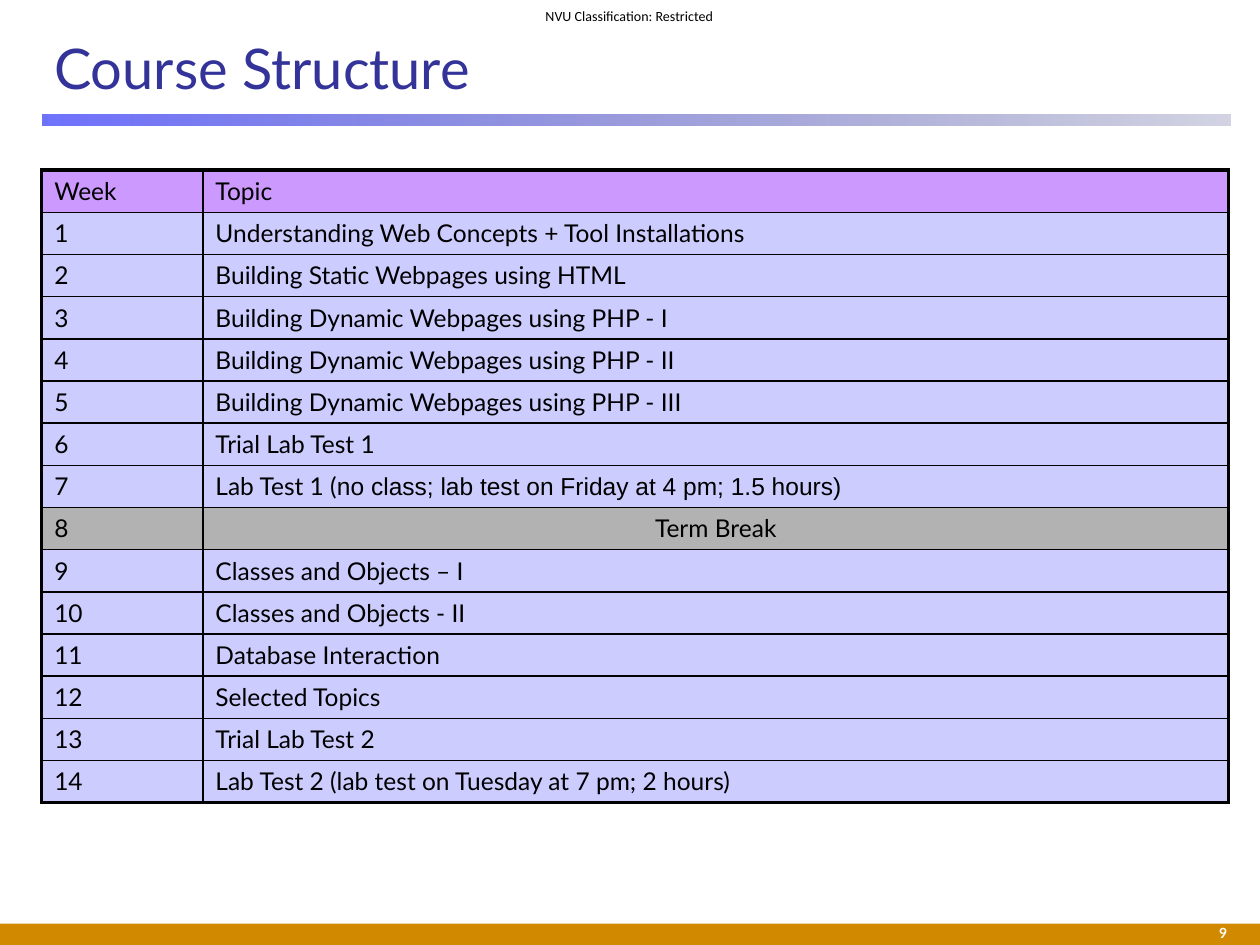
"""Build the course structure slide with its weekly topic table."""
from dataclasses import dataclass

from lxml.etree import SubElement as Sub
from pptx import Presentation as Deck
from pptx.dml.color import RGBColor as Rgb
from pptx.enum.shapes import MSO_SHAPE as Kind
from pptx.enum.text import MSO_ANCHOR as Anchor, PP_ALIGN as Align
from pptx.oxml.ns import qn
from pptx.util import Cm, Pt


@dataclass(frozen=True)
class Theme:
    title: str = "333399"
    ink: str = "000000"
    white: str = "FFFFFF"
    foot: str = "D18A00"
    head: str = "CC99FF"
    body: str = "CCCCFF"
    rest: str = "B2B2B2"
    fade: tuple = (("464AFC", 78), ("202275", 20))
    font: str = "Lato"
    alt: str = "Arial"
    mark: str = "Calibri"
    big: int = 32
    mid: int = 14
    small: int = 8
    thick: float = 2.25
    thin: float = 1


LOOK = Theme()
BREAK = "Term Break"
TOPICS = [
    "Understanding Web Concepts + Tool Installations",
    "Building Static Webpages using HTML",
    "Building Dynamic Webpages using PHP - I",
    "Building Dynamic Webpages using PHP - II",
    "Building Dynamic Webpages using PHP - III",
    "Trial Lab Test 1",
    ("Lab Test 1 (", "no class; lab test on Friday at 4 pm; 1.5 hours)"),
    BREAK,
    "Classes and Objects – I",
    "Classes and Objects - II",
    "Database Interaction",
    "Selected Topics",
    "Trial Lab Test 2",
    "Lab Test 2 (lab test on Tuesday at 7 pm; 2 hours)",
]


def add_run(para, text, size, color=LOOK.ink, font=LOOK.font, bold=False):
    run = para.add_run()
    run.text = text
    run.font.size = Pt(size)
    run.font.name = font
    run.font.bold = bold
    run.font.color.rgb = Rgb.from_string(color)


def add_text(slide, box, text, size, color, font=LOOK.font,
             align=Align.LEFT, bold=False, pad=None):
    frame = slide.shapes.add_textbox(*map(Cm, box)).text_frame
    frame.word_wrap = True
    frame.vertical_anchor = Anchor.MIDDLE
    if pad is not None:
        frame.margin_left = frame.margin_right = Cm(pad)
        frame.margin_top = frame.margin_bottom = Cm(pad)
    para = frame.paragraphs[0]
    para.alignment = align
    add_run(para, text, size, color, font, bold)


def add_bar(slide, box):
    bar = slide.shapes.add_shape(Kind.RECTANGLE, *map(Cm, box))
    bar.shadow.inherit = False
    bar.line.fill.background()
    return bar


def add_fade(slide, box):
    bar = add_bar(slide, box)
    bar.fill.gradient()
    bar.fill.gradient_angle = 0
    for stop, (color, _) in zip(bar.fill.gradient_stops, LOOK.fade):
        stop.color.rgb = Rgb.from_string(color)
    tints = list(bar.element.iter(qn("a:srgbClr")))
    for tint, (_, alpha) in zip(tints, LOOK.fade):
        Sub(tint, qn("a:alpha"), val=str(alpha * 1000))


def set_edges(cell, outer):
    props = cell._tc.get_or_add_tcPr()
    for side in "LRTB":
        width = LOOK.thick if side in outer else LOOK.thin
        line = Sub(props, qn(f"a:ln{side}"), w=str(Pt(width)))
        fill = Sub(line, qn("a:solidFill"))
        Sub(fill, qn("a:srgbClr"), val=LOOK.ink)


def fill_cell(cell, text, color, outer):
    set_edges(cell, outer)
    cell.fill.solid()
    cell.fill.fore_color.rgb = Rgb.from_string(color)
    para = cell.text_frame.paragraphs[0]
    if text == BREAK:
        para.alignment = Align.CENTER
    parts = (text,) if isinstance(text, str) else text
    for part, font in zip(parts, (LOOK.font, LOOK.alt)):
        add_run(para, part, LOOK.mid, font=font)


def add_plan(slide, left, top, widths, high):
    rows = [("Week", "Topic")]
    rows += [(str(week), topic) for week, topic in enumerate(TOPICS, 1)]
    last = len(rows) - 1
    table = slide.shapes.add_table(
        len(rows), len(widths), Cm(left), Cm(top),
        Cm(sum(widths)), Cm(high * len(rows))).table
    table.first_row = table.horz_banding = False
    for col, width in zip(table.columns, widths):
        col.width = Cm(width)
    for i, row in enumerate(rows):
        table.rows[i].height = Cm(high)
        color = LOOK.rest if BREAK in row else LOOK.body if i else LOOK.head
        rim = {0: "T", last: "B"}.get(i, "")
        for j, text in enumerate(row):
            fill_cell(table.cell(i, j), text, color, rim + "LR"[j])


def main():
    deck = Deck()
    deck.slide_width, deck.slide_height = Cm(25.4), Cm(19.05)
    slide = deck.slides.add_slide(deck.slide_layouts[6])
    foot = add_bar(slide, (0, 18.62, 25.4, 0.43))
    foot.fill.solid()
    foot.fill.fore_color.rgb = Rgb.from_string(LOOK.foot)
    add_fade(slide, (0.85, 2.31, 23.95, 0.23))
    add_text(slide, (10.62, 0, 4.14, 0.64), "NVU Classification: Restricted",
             LOOK.small, LOOK.ink, LOOK.mark, Align.CENTER, pad=0)
    add_text(slide, (0.84, 0.41, 23.93, 1.9), "Course Structure",
             LOOK.big, LOOK.title)
    add_plan(slide, 0.84, 3.43, (3.25, 20.68), 0.85)
    add_text(slide, (21.39, 18.5, 3.6, 0.6), "9", LOOK.small, LOOK.white,
             align=Align.RIGHT, bold=True)
    deck.save("out.pptx")


if __name__ == "__main__":
    main()
